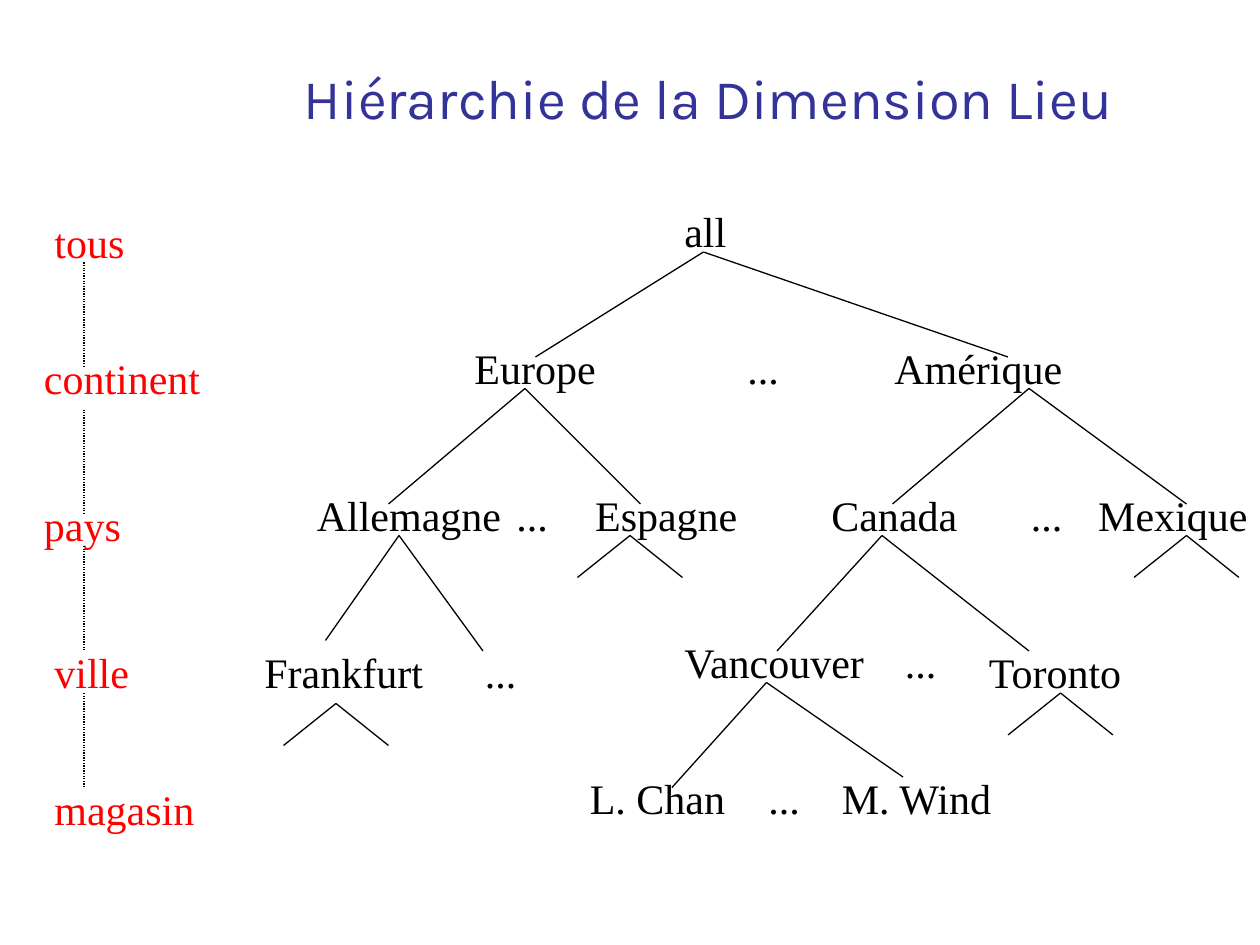
from lxml.etree import SubElement
from pptx import Presentation
from pptx.dml.color import RGBColor
from pptx.enum.dml import MSO_LINE
from pptx.enum.shapes import MSO_CONNECTOR
from pptx.enum.text import MSO_ANCHOR, MSO_AUTO_SIZE, PP_ALIGN
from pptx.oxml.ns import qn
from pptx.util import Pt

TITLE = "Hiérarchie de la Dimension Lieu"
BLACK, RED, BLUE = "000000", "FF0000", "333399"
LABEL_HEIGHT = 36

LEVELS = [
    ("tous", 24, 120, 55),
    ("continent", 18, 198, 104.5),
    ("pays", 18, 282, 59),
    ("ville", 24, 366, 57.5),
    ("magasin", 24, 444, 95),
]
MEMBERS = [
    ("all", 384, 114, 39),
    ("Europe", 264, 192, 84),
    ("Amérique", 504, 192, 111),
    ("Allemagne", 174, 276, 120),
    ("Espagne", 333, 276, 96.5),
    ("Canada", 468, 276, 87),
    ("Mexique", 620.5, 276, 100),
    ("Frankfurt", 144, 366, 105.5),
    ("Vancouver", 384, 360, 120),
    ("Toronto", 558, 366, 92),
    ("L. Chan", 330, 438, 92),
    ("M. Wind", 474, 438, 101.5),
]
ELLIPSES = [(420, 192), (288, 276), (582, 276), (270, 366), (510, 360), (432, 438)]
ELLIPSIS_WIDTH = 33

BRANCHES = [
    ((402, 144), [(306, 204), (576, 204)]),
    ((300, 222), [(222, 288), (366, 288)]),
    ((588, 222), [(510, 288), (678, 288)]),
    ((228, 306), [(186, 366), (276, 372)]),
    ((504, 306), [(444, 372), (588, 372)]),
    ((438, 390), [(384, 450), (516, 444)]),
]
OPEN_FORKS = [(360, 306), (678, 306), (192, 402), (606, 396)]
FORK_REACH, FORK_DROP = 30, 24
LEVEL_LINE_X = 48
LEVEL_LINES = [(150, 210), (234, 294), (312, 372), (396, 450)]


def color(value):
    return RGBColor.from_string(value)


def add_text(page, text, bounds, size, font, ink, **frame_format):
    box = page.shapes.add_textbox(*map(Pt, bounds))
    frame = box.text_frame
    for name, value in frame_format.items():
        setattr(frame, name, value)
    para = frame.paragraphs[0]
    span = para.add_run()
    span.text = text
    for name, value in {"size": Pt(size), "name": font}.items():
        setattr(span.font, name, value)
    span.font.color.rgb = color(ink)
    return para


def add_label(page, text, left, top, width, ink):
    add_text(page, text, (left, top, width, LABEL_HEIGHT), 24, "Times New Roman", ink,
             word_wrap=False, auto_size=MSO_AUTO_SIZE.SHAPE_TO_FIT_TEXT)


def add_line(page, start, end, dash=None):
    connector = page.shapes.add_connector(MSO_CONNECTOR.STRAIGHT, *map(Pt, start + end))
    connector.line.color.rgb = color(BLACK)
    for name, value in {"width": Pt(0.75), "dash_style": dash}.items():
        setattr(connector.line, name, value)
    SubElement(connector._element.spPr, qn("a:effectLst"))


def main():
    deck = Presentation()
    deck.slide_width, deck.slide_height = Pt(720), Pt(540)
    page = deck.slides.add_slide(deck.slide_layouts[6])

    title = add_text(page, TITLE, (90, 30, 630, 48), 32, "Karla", BLUE,
                     word_wrap=True, vertical_anchor=MSO_ANCHOR.BOTTOM)
    title.alignment = PP_ALIGN.CENTER

    for member in MEMBERS:
        add_label(page, *member, BLACK)
    for left, top in ELLIPSES:
        add_label(page, "...", left, top, ELLIPSIS_WIDTH, BLACK)
    for level in LEVELS:
        add_label(page, *level, RED)

    forks = [((x, y), [(x - FORK_REACH, y + FORK_DROP), (x + FORK_REACH, y + FORK_DROP)])
             for x, y in OPEN_FORKS]
    for parent, children in BRANCHES + forks:
        for child in children:
            add_line(page, parent, child)
    for top, bottom in LEVEL_LINES:
        add_line(page, (LEVEL_LINE_X, top), (LEVEL_LINE_X, bottom), MSO_LINE.ROUND_DOT)

    deck.save("out.pptx")


if __name__ == "__main__":
    main()
